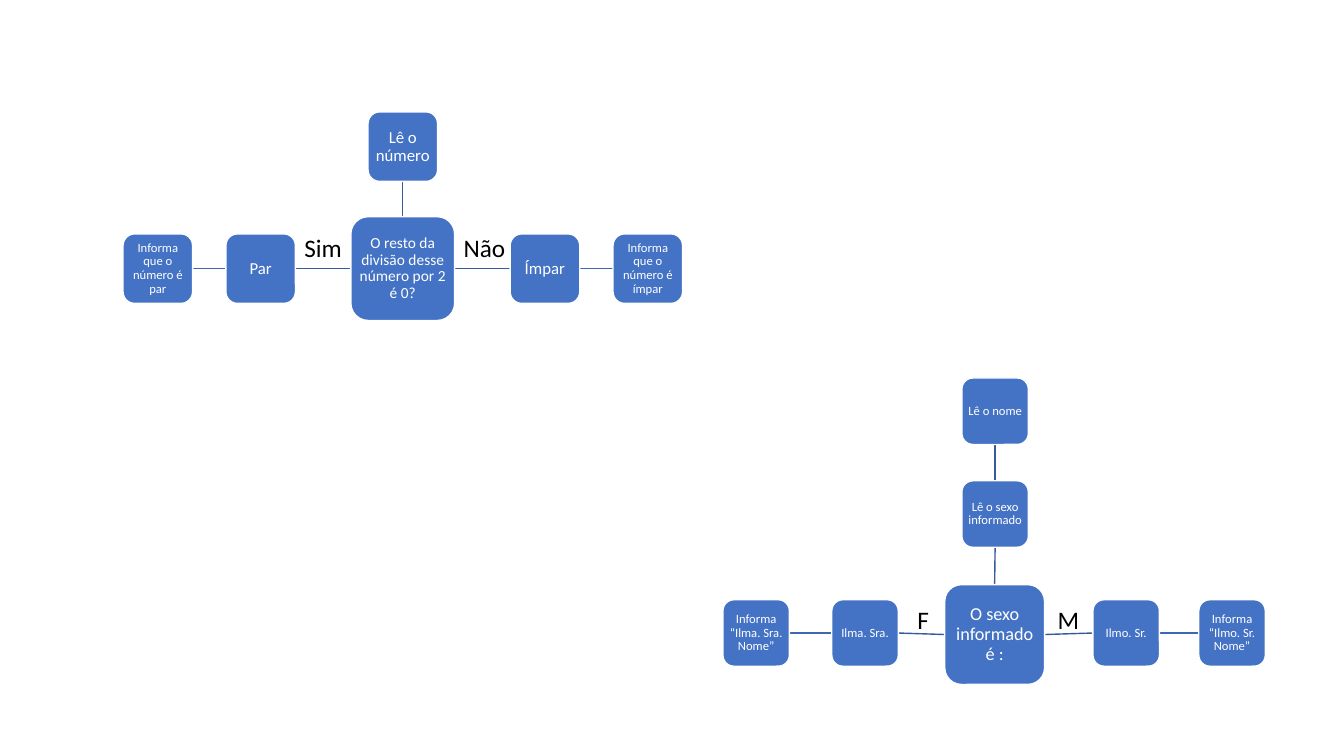
"""Build a slide with two decision flows made of rounded boxes."""
import lxml.etree
import pptx
import pptx.dml.color
import pptx.enum.shapes
import pptx.enum.text
import pptx.oxml.ns
import pptx.util

Inches = pptx.util.Inches
TOP, LEFT, BOTTOM, RIGHT = range(4)


def color(value):
    return pptx.dml.color.RGBColor.from_string(value)


class FlowPage:
    font = "Calibri"
    fill = "4472C4"
    light = "FFFFFF"
    dark = "000000"
    branch_line = "365B9D"
    result_line = "3E67B2"

    def __init__(self, page):
        self.page = page

    def set_text(self, frame, text, size, tone):
        frame.text = text
        para = frame.paragraphs[0]
        span = para.runs[0]
        span.font.name = self.font
        span.font.size = pptx.util.Pt(size)
        span.font.color.rgb = color(tone)
        return para

    def node(self, text, left, top, side, size):
        box = self.page.shapes.add_shape(
            pptx.enum.shapes.MSO_SHAPE.ROUNDED_RECTANGLE,
            Inches(left), Inches(top), Inches(side), Inches(side))
        box.shadow.inherit = False
        box.fill.solid()
        box.fill.fore_color.rgb = color(self.fill)
        box.line.color.rgb = color(self.light)
        box.line.width = pptx.util.Pt(1)
        frame = box.text_frame
        frame.word_wrap = True
        frame.vertical_anchor = pptx.enum.text.MSO_ANCHOR.MIDDLE
        frame.margin_left = frame.margin_right = Inches(0.03)
        frame.margin_top = frame.margin_bottom = Inches(0.03)
        para = self.set_text(frame, text, size, self.light)
        para.alignment = pptx.enum.text.PP_ALIGN.CENTER
        para.line_spacing = 0.9
        return box

    def link(self, start, start_site, end, end_site, tone):
        line = self.page.shapes.add_connector(
            pptx.enum.shapes.MSO_CONNECTOR.STRAIGHT, 0, 0, 0, 0)
        line.begin_connect(start, start_site)
        line.end_connect(end, end_site)
        line.line.color.rgb = color(tone)
        line.line.width = pptx.util.Pt(1)
        element = line._element
        lxml.etree.SubElement(element.spPr, pptx.oxml.ns.qn("a:effectLst"))
        element.getparent().insert(2, element)

    def label(self, text, left, top, width):
        box = self.page.shapes.add_textbox(
            Inches(left), Inches(top), Inches(width), Inches(0.4))
        box.text_frame.word_wrap = False
        self.set_text(box.text_frame, text, 18, self.dark)

    def flow(self, question, steps, branches, side, row):
        decision = self.node(*question)
        below = decision
        for text, left, top, size in steps:
            step = self.node(text, left, top, side, size)
            self.link(below, TOP, step, BOTTOM, self.branch_line)
            below = step
        for branch, near, far in zip(branches, (LEFT, RIGHT), (RIGHT, LEFT)):
            answer, choice, result = branch
            chosen, informed = [
                self.node(text, left, row, side, size)
                for text, left, size in (choice, result)]
            self.link(decision, near, chosen, far, self.branch_line)
            self.link(chosen, near, informed, far, self.result_line)
            self.label(*answer)


deck = pptx.Presentation()
deck.slide_width = Inches(13.33)
deck.slide_height = Inches(7.5)
sheet = FlowPage(deck.slides.add_slide(deck.slide_layouts[6]))

sheet.flow(
    question=("O resto da divisão desse número por 2 é 0?", 3.48, 2.15, 1.03, 11),
    steps=[("Lê o número", 3.65, 1.11, 12)],
    branches=[
        (("Sim", 2.92, 2.26, 0.58), ("Par", 2.24, 12),
         ("Informa que o número é par", 1.22, 9)),
        (("Não", 4.5, 2.26, 0.62), ("Ímpar", 5.06, 12),
         ("Informa que o número é ímpar", 6.08, 9)),
    ],
    side=0.69, row=2.32)

sheet.flow(
    question=("O sexo informado é :", 9.37, 5.8, 0.99, 13),
    steps=[("Lê o sexo informado", 9.54, 4.77, 9), ("Lê o nome", 9.54, 3.75, 9)],
    branches=[
        (("F", 9, 5.95, 0.32), ("Ilma. Sra.", 8.25, 9),
         ("Informa “Ilma. Sra. Nome”", 7.17, 9)),
        (("M", 10.39, 5.95, 0.42), ("Ilmo. Sr.", 10.84, 9),
         ("Informa “Ilmo. Sr. Nome”", 11.89, 9)),
    ],
    side=0.66, row=5.95)

deck.save("out.pptx")
